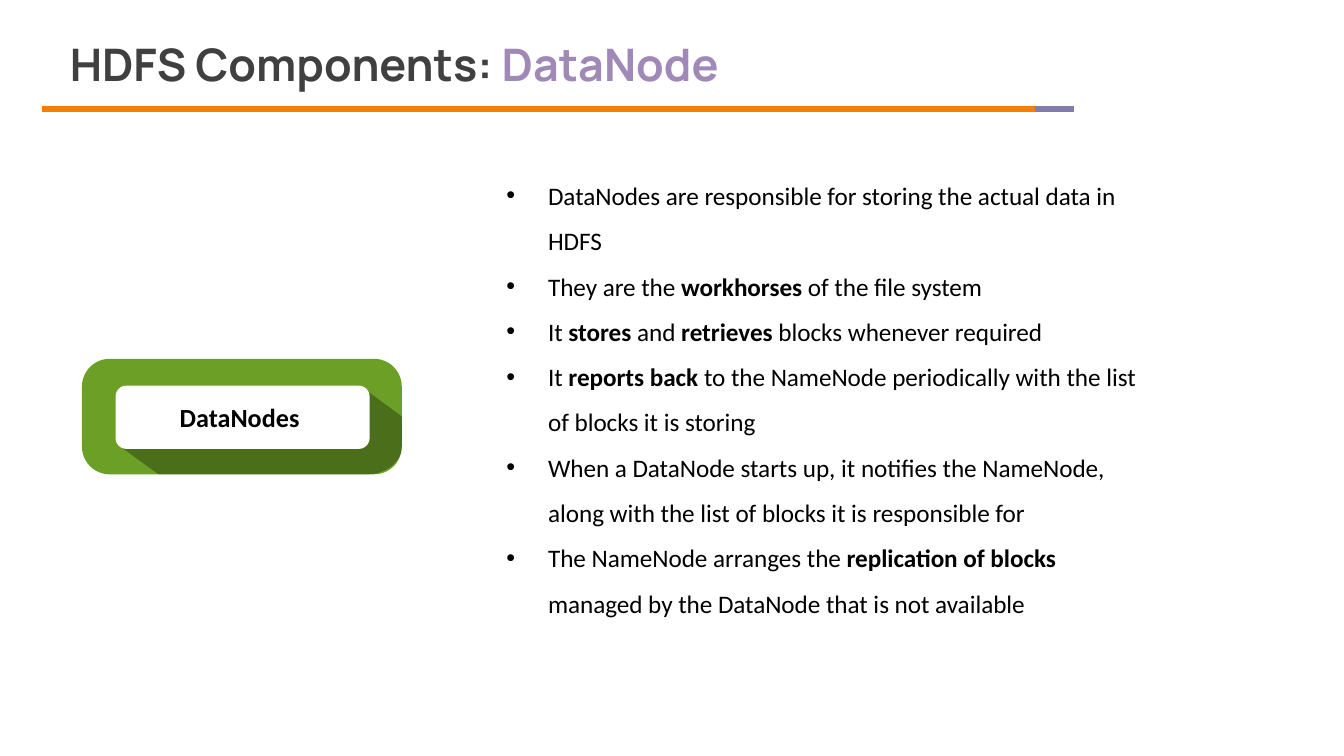
from typing import NamedTuple

from lxml import etree
from pptx import Presentation
from pptx import util as u
from pptx.dml.color import RGBColor
from pptx.enum import shapes, text
from pptx.oxml.ns import qn

BLACK, WHITE, GREEN = "000000", "FFFFFF", "6B9F25"
INDENT = u.Inches(0.31)


class Span(NamedTuple):
    words: str
    bold: bool = False
    color: str = BLACK


class Rule(NamedTuple):
    start: float
    end: float
    color: str


class Panel(NamedTuple):
    left: float
    top: float
    width: float
    height: float
    fill: str
    rounding: float


RULES = [Rule(0.31, 7.7, "F07F09"), Rule(7.7, 7.99, "827CA8")]
OUTER = Panel(0.61, 2.67, 2.38, 0.86, GREEN, 0.24)
INNER = Panel(0.86, 2.87, 1.89, 0.47, WHITE, 0.17)

TITLE = [Span("HDFS Components: ", True, "404040"), Span("DataNode", True, "A088B7")]
BULLETS = [
    [Span("DataNodes are responsible for storing the actual data in HDFS")],
    [Span("They are the "), Span("workhorses", True), Span(" of the file system")],
    [Span("It "), Span("stores", True), Span(" and "), Span("retrieves", True),
     Span(" blocks whenever required")],
    [Span("It "), Span("reports back", True),
     Span(" to the NameNode periodically with the list of blocks it is storing")],
    [Span("When a DataNode starts up, it notifies the NameNode, "
          "along with the list of blocks it is responsible for")],
    [Span("The NameNode arranges the "), Span("replication of blocks", True),
     Span(" managed by the DataNode that is not available")],
]


def paint(target, color: str) -> None:
    """Give a fill a solid colour."""
    target.solid()
    target.fore_color.rgb = RGBColor.from_string(color)


def write(para, spans: list[Span], *, size: float, font: str = "Calibri") -> None:
    for item in spans:
        span = para.add_run()
        span.text = item.words
        span.font.size = u.Pt(size)
        span.font.name = font
        span.font.bold = item.bold
        paint(span.font.fill, item.color)


def add_text_box(page, left: float, top: float, width: float, height: float):
    box = page.shapes.add_textbox(*map(u.Inches, (left, top, width, height)))
    box.text_frame.word_wrap = True
    return box.text_frame


def add_bullet(para) -> None:
    properties = para._p.get_or_add_pPr()
    properties.set("marL", str(INDENT))
    properties.set("indent", str(-INDENT))
    etree.SubElement(properties, qn("a:buFont")).set("typeface", "Arial")
    etree.SubElement(properties, qn("a:buChar")).set("char", "•")
    para.line_spacing = 1.5


def add_rule(page, rule: Rule) -> None:
    y = u.Inches(0.81)
    line = page.shapes.add_connector(
        shapes.MSO_CONNECTOR.STRAIGHT, u.Inches(rule.start), y, u.Inches(rule.end), y)
    paint(line.line.fill, rule.color)
    line.line.width = u.Pt(3)
    etree.SubElement(line._element.spPr, qn("a:effectLst"))


def add_panel(group, panel: Panel):
    shape = group.shapes.add_shape(
        shapes.MSO_SHAPE.ROUNDED_RECTANGLE, *map(u.Inches, panel[:4]))
    shape.adjustments[0] = panel.rounding
    shape.shadow.inherit = False
    paint(shape.fill, panel.fill)
    shape.line.fill.background()
    return shape


def corner_curve(controls: list[tuple[float, float]], steps: int = 12):
    """Points along a cubic curve, without its first point."""
    for step in range(1, steps + 1):
        t = step / steps
        weights = ((1 - t) ** 3, 3 * t * (1 - t) ** 2, 3 * t * t * (1 - t), t ** 3)
        yield tuple(sum(w * point[axis] for w, point in zip(weights, controls))
                    for axis in (0, 1))


def add_long_shadow(group) -> None:
    corner = [(2.99, 3.32), (2.99, 3.44), (2.87, 3.53), (2.73, 3.53)]
    outline = [(2.72, 2.9), (2.99, 3.1), corner[0], *corner_curve(corner),
               (1.18, 3.53), (0.89, 3.32)]
    points = [(u.Inches(x), u.Inches(y)) for x, y in outline]
    builder = group.shapes.build_freeform(*points[0])
    builder.add_line_segments(points[1:], close=True)
    shape = builder.convert_to_shape()
    shape.shadow.inherit = False
    paint(shape.fill, BLACK)
    color = shape._element.spPr.find(qn("a:solidFill"))[0]
    etree.SubElement(color, qn("a:alpha")).set("val", "30000")
    shape.line.fill.background()


def main() -> None:
    # Widescreen page, 16:9
    deck = Presentation()
    deck.slide_width, deck.slide_height = u.Inches(10), u.Inches(10 * 9 / 16)
    page = deck.slides.add_slide(deck.slide_layouts[6])

    # DataNodes badge
    badge = page.shapes.add_group_shape()
    add_panel(badge, OUTER)
    add_long_shadow(badge)
    label = add_panel(badge, INNER).text_frame
    label.margin_left = label.margin_right = u.Inches(0.07)
    label.margin_top = label.margin_bottom = u.Inches(0.04)
    label.vertical_anchor = text.MSO_ANCHOR.MIDDLE
    label.paragraphs[0].alignment = text.PP_ALIGN.CENTER
    write(label.paragraphs[0], [Span("DataNodes ", True)], size=14)

    # Title and its underline
    for rule in RULES:
        add_rule(page, rule)
    title = add_text_box(page, 0.52, 0.16, 7.1, 0.63)
    title.margin_left = 0
    title.vertical_anchor = text.MSO_ANCHOR.MIDDLE
    write(title.paragraphs[0], TITLE, size=24, font="Manrope")

    # Bullet list
    body = add_text_box(page, 3.67, 1.18, 5, 3.51)
    body.auto_size = text.MSO_AUTO_SIZE.SHAPE_TO_FIT_TEXT
    for index, spans in enumerate(BULLETS):
        para = body.add_paragraph() if index else body.paragraphs[0]
        add_bullet(para)
        write(para, spans, size=13.5)

    deck.save("out.pptx")


if __name__ == "__main__":
    main()
